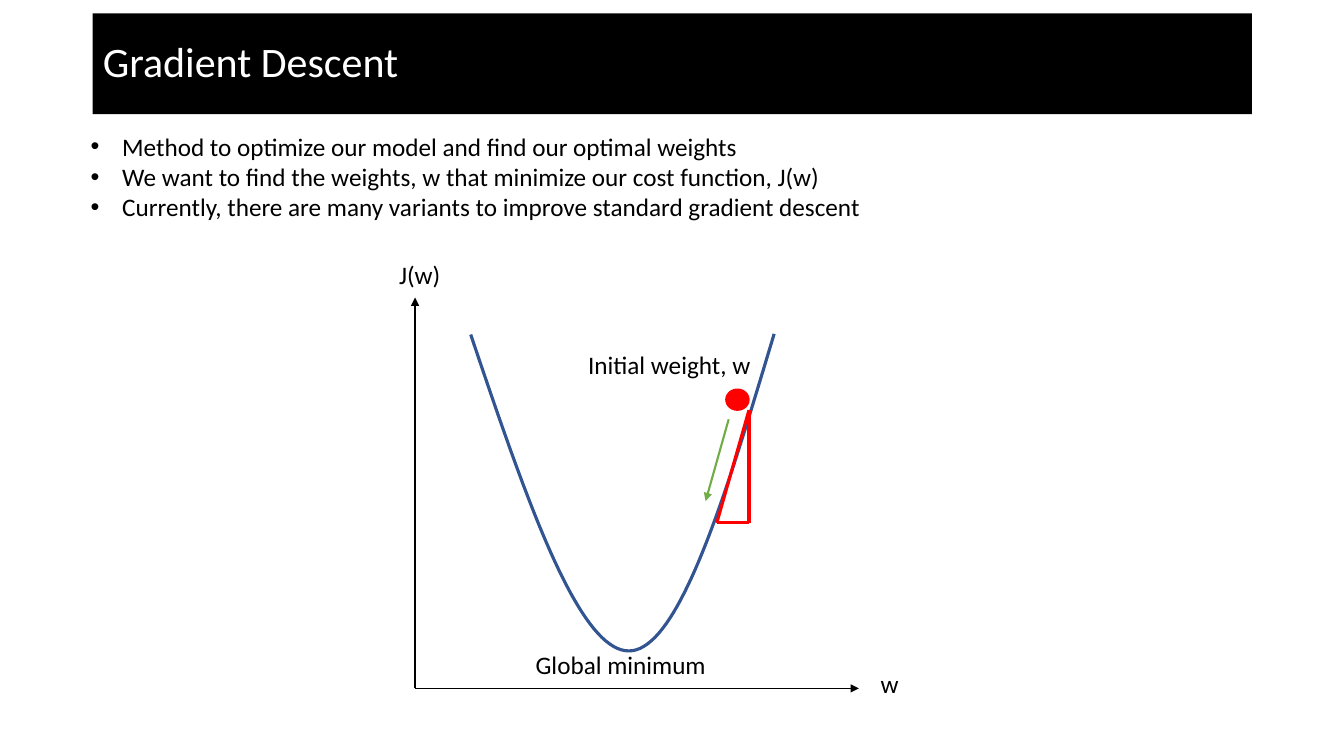
"""Build the gradient descent slide."""
from dataclasses import dataclass

from lxml import etree
from pptx import Presentation
from pptx import util as u
from pptx.dml.color import RGBColor
from pptx.enum import shapes, text
from pptx.oxml.ns import qn


@dataclass(frozen=True)
class Theme:
    font: str = "Calibri"
    title_size: float = 30
    text_size: float = 18
    ink: str = "000000"
    paper: str = "FFFFFF"
    curve: str = "325491"
    slope: str = "FF0000"
    step: str = "70AD47"


THEME = Theme()
TITLE = "Gradient Descent"
BULLETS = [
    "Method to optimize our model and find our optimal weights",
    "We want to find the weights, w that minimize our cost function, J(w)",
    "Currently, there are many variants to improve standard gradient descent",
]
LABELS = [
    ("J(w)", (278, 181.5, 50, 29)),
    ("w", (622, 474, 50, 29)),
    ("Global minimum", (375.5, 460, 140, 29)),
    ("Initial weight, w", (413, 246, 164, 29)),
]
TITLE_BOX = (66.25, 9.5, 828, 72)
BODY_BOX = (21.6, 90, 866, 73)
BULLET_MARGIN, BULLET_HANG = 58.5, 22.5

ORIGIN, W_END, J_END = (296.5, 491.75), (613.5, 491.75), (296.5, 212.5)
SLOPE_TOP, SLOPE_CORNER, SLOPE_FOOT = (535, 293), (535, 373.5), (512, 373.5)
CURVE = [
    [(336.25, 239), (374.5, 352), (412.5, 465), (449.25, 465)],
    [(449.25, 465), (485.25, 465), (519, 352), (553, 238.5)],
]
CURVE_STEPS = 40
BALL_BOX = (518.5, 278, 16.5, 15)
AXES = [(ORIGIN, W_END, THEME.ink, 1, True), (ORIGIN, J_END, THEME.ink, 1, True)]
SLOPE = [
    (start, end, THEME.slope, 2.25, False)
    for start, end in [(SLOPE_TOP, SLOPE_FOOT), (SLOPE_CORNER, SLOPE_FOOT), (SLOPE_TOP, SLOPE_CORNER)]
]
STEP_ARROW = ((520.5, 299.5), (504, 358), THEME.step, 1.5, True)


def points(values):
    return [u.Pt(value) for value in values]


def place(shape, box):
    shape.left, shape.top, shape.width, shape.height = points(box)


def write(paragraph, words, size, color):
    run = paragraph.add_run()
    run.text = words
    run.font.name = THEME.font
    run.font.size = u.Pt(size)
    run.font.color.rgb = RGBColor.from_string(color)


def add_title(slide):
    title = slide.shapes.title
    place(title, TITLE_BOX)
    title.fill.solid()
    title.fill.fore_color.rgb = RGBColor.from_string(THEME.ink)
    frame = title.text_frame
    frame.auto_size = text.MSO_AUTO_SIZE.NONE
    frame.vertical_anchor = text.MSO_ANCHOR.MIDDLE
    paragraph = frame.paragraphs[0]
    paragraph.alignment = text.PP_ALIGN.LEFT
    paragraph.line_spacing = 0.9
    write(paragraph, TITLE, THEME.title_size, THEME.paper)


def add_bullets(slide):
    body = slide.placeholders[1]
    place(body, BODY_BOX)
    frame = body.text_frame
    frame.auto_size = text.MSO_AUTO_SIZE.NONE
    frame.vertical_anchor = text.MSO_ANCHOR.TOP
    for index, words in enumerate(BULLETS):
        paragraph = frame.add_paragraph() if index else frame.paragraphs[0]
        paragraph.level = 1
        properties = paragraph._p.get_or_add_pPr()
        properties.set("marL", str(u.Pt(BULLET_MARGIN)))
        properties.set("indent", str(-u.Pt(BULLET_HANG)))
        etree.SubElement(properties, qn("a:buFont"), typeface="Arial")
        etree.SubElement(properties, qn("a:buChar"), char="•")
        paragraph.space_before = u.Pt(0)
        paragraph.line_spacing = 1.0
        write(paragraph, words, THEME.text_size, THEME.ink)


def add_line(slide, start, end, color, width, arrow):
    line = slide.shapes.add_connector(shapes.MSO_CONNECTOR.STRAIGHT, *points(start + end))
    line.line.color.rgb = RGBColor.from_string(color)
    line.line.width = u.Pt(width)
    if arrow:
        etree.SubElement(line.line._get_or_add_ln(), qn("a:tailEnd"), type="triangle")
    etree.SubElement(line._element.spPr, qn("a:effectLst"))


def bezier(controls, t):
    weights = ((1 - t) ** 3, 3 * t * (1 - t) ** 2, 3 * t * t * (1 - t), t ** 3)
    return points(sum(w * value for w, value in zip(weights, axis)) for axis in zip(*controls))


def add_curve(slide):
    builder = slide.shapes.build_freeform(*points(CURVE[0][0]))
    builder.add_line_segments(
        [bezier(part, i / CURVE_STEPS) for part in CURVE for i in range(1, CURVE_STEPS + 1)],
        close=False,
    )
    curve = builder.convert_to_shape()
    curve.shadow.inherit = False
    curve.fill.background()
    curve.line.color.rgb = RGBColor.from_string(THEME.curve)
    curve.line.width = u.Pt(2.25)


def add_ball(slide):
    ball = slide.shapes.add_shape(shapes.MSO_SHAPE.OVAL, *points(BALL_BOX))
    ball.shadow.inherit = False
    ball.fill.solid()
    ball.fill.fore_color.rgb = RGBColor.from_string(THEME.slope)
    ball.line.color.rgb = RGBColor.from_string(THEME.slope)
    ball.line.width = u.Pt(1)


def add_label(slide, words, box):
    frame = slide.shapes.add_textbox(*points(box)).text_frame
    frame.word_wrap = True
    write(frame.paragraphs[0], words, THEME.text_size, THEME.ink)


def main():
    presentation = Presentation()
    presentation.slide_width, presentation.slide_height = points((960, 540))
    slide = presentation.slides.add_slide(presentation.slide_layouts[1])
    add_title(slide)
    add_bullets(slide)
    for axis in AXES:
        add_line(slide, *axis)
    add_curve(slide)
    for side in SLOPE:
        add_line(slide, *side)
    add_ball(slide)
    add_line(slide, *STEP_ARROW)
    for words, box in LABELS:
        add_label(slide, words, box)
    presentation.save("out.pptx")


if __name__ == "__main__":
    main()
